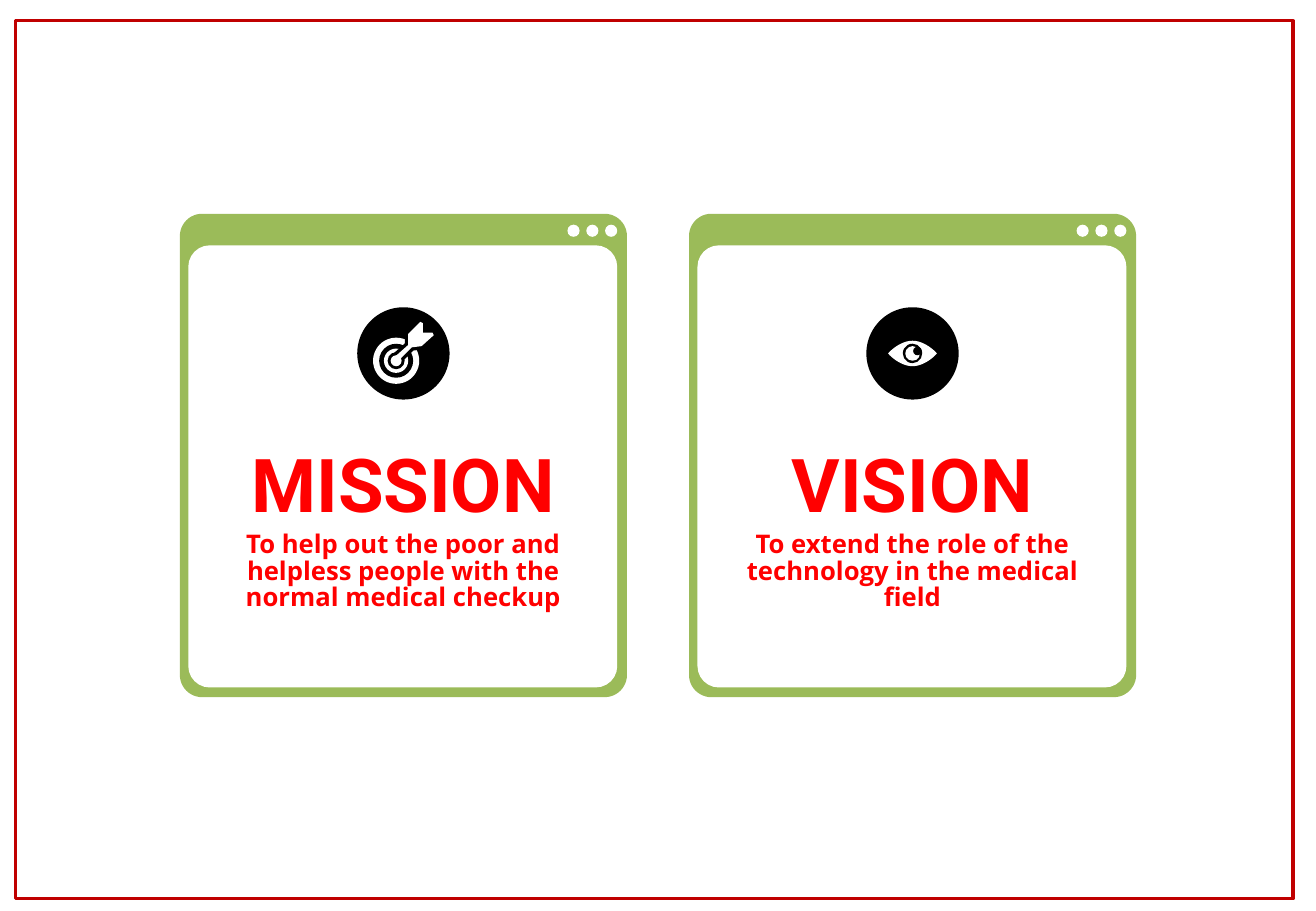
import pptx
import pptx.dml.color
import pptx.enum.shapes
import pptx.enum.text
import pptx.util

Inches = pptx.util.Inches
Pt = pptx.util.Pt
SHAPE = pptx.enum.shapes.MSO_SHAPE

WHITE, BLACK, GREEN, RED, BORDER = "FFFFFF", "000000", "9BBB59", "FF0000", "C00000"
CARD_TOP = 1.76
HEADING = {"name": "Roboto", "size": Pt(44), "bold": True}
STATEMENT = {"name": "Open Sans", "size": Pt(15.2), "bold": True}
CARDS = [
    (1.48, "MISSION", "To help out the poor and helpless people with the normal medical checkup"),
    (5.67, "VISION", "To extend the role of the technology in the medical field"),
]
TARGET_RINGS = [(0.19, WHITE), (0.14, BLACK), (0.1, WHITE), (0.07, BLACK)]
# Offsets from the target's centre
DART = [(-0.03, -0.02), (0.01, -0.05), (0.1, -0.13), (0.1, -0.22), (0.2, -0.32),
        (0.22, -0.31), (0.22, -0.23), (0.3, -0.23), (0.31, -0.21), (0.21, -0.12),
        (0.13, -0.11), (0.04, -0.02), (0.02, 0.02)]


def rgb(hex_colour):
    return pptx.dml.color.RGBColor.from_string(hex_colour)


def paint(shape, fill=None, line=None, weight=1):
    shape.shadow.inherit = False
    if fill:
        shape.fill.solid()
        shape.fill.fore_color.rgb = rgb(fill)
    else:
        shape.fill.background()
    if line:
        shape.line.color.rgb = rgb(line)
        shape.line.width = Pt(weight)
    else:
        shape.line.fill.background()


def add_panel(shapes, kind, left, top, width, height, radius=None, **look):
    panel = shapes.add_shape(kind, Inches(left), Inches(top), Inches(width), Inches(height))
    if radius is not None:
        panel.adjustments[0] = radius
    paint(panel, **look)


def add_disc(shapes, x, y, radius, fill):
    add_panel(shapes, SHAPE.OVAL, x - radius, y - radius, 2 * radius, 2 * radius, fill=fill)


def add_outline(shapes, x, y, offsets, **look):
    """Draw a closed outline from offsets around the point x, y."""
    points = [(Inches(x + dx), Inches(y + dy)) for dx, dy in offsets]
    builder = shapes.build_freeform(*points[0])
    builder.add_line_segments(points[1:], close=True)
    paint(builder.convert_to_shape(), **look)


def add_text(slide, left, top, height, text, font_values, spacing):
    frame = slide.shapes.add_textbox(
        Inches(left), Inches(top), Inches(3.04), Inches(height)).text_frame
    frame.word_wrap = True
    for side in ("left", "top", "right", "bottom"):
        setattr(frame, f"margin_{side}", Inches(0.11))
    paragraph = frame.paragraphs[0]
    paragraph.text = text
    paragraph.alignment = pptx.enum.text.PP_ALIGN.CENTER
    paragraph.line_spacing = spacing
    for attribute, value in font_values.items():
        setattr(paragraph.font, attribute, value)
    paragraph.font.color.rgb = rgb(RED)


def add_window(slide, left):
    window = slide.shapes.add_group_shape().shapes
    add_panel(window, SHAPE.ROUNDED_RECTANGLE, left, CARD_TOP, 3.68, 3.98, 0.05, fill=GREEN)
    add_panel(window, SHAPE.ROUNDED_RECTANGLE, left + 0.07, CARD_TOP + 0.26, 3.53, 3.64, 0.05,
              fill=WHITE)
    for button in range(3):
        add_disc(window, left + 3.24 + 0.155 * button, CARD_TOP + 0.14, 0.05, WHITE)


def add_target(slide, x, y):
    target = slide.shapes.add_group_shape().shapes
    for radius, colour in TARGET_RINGS:
        add_disc(target, x, y, radius, colour)
    add_outline(target, x, y, DART, fill=BLACK, line=BLACK, weight=4)
    add_disc(target, x, y, 0.045, WHITE)
    add_outline(target, x, y, DART, fill=WHITE)


def eye_outline(half_width=0.2, half_height=0.105, steps=12):
    """Sample one quarter of the eye as a cubic curve and mirror it into a full eye."""
    quarter = []
    for step in range(steps + 1):
        t = step / steps
        across = 3 * (1 - t) ** 2 * t * 0.5 + 3 * (1 - t) * t ** 2 * 0.95 + t ** 3
        up = (1 - t) ** 3 + 3 * (1 - t) ** 2 * t + 3 * (1 - t) * t ** 2 * 0.15
        quarter.append((half_width * across, half_height * up))
    right = [(dx, -dy) for dx, dy in quarter] + quarter[-2::-1]
    return right + [(-dx, dy) for dx, dy in right[-2:0:-1]]


def add_eye(slide, x, y):
    eye = slide.shapes.add_group_shape().shapes
    add_outline(eye, x, y, eye_outline(), fill=WHITE)
    add_disc(eye, x, y, 0.08, BLACK)
    add_disc(eye, x, y, 0.06, WHITE)
    add_disc(eye, x + 0.04, y - 0.02, 0.035, BLACK)


def main():
    presentation = pptx.Presentation()
    presentation.slide_width = Inches(10.83)
    presentation.slide_height = Inches(7.5)
    slide = presentation.slides.add_slide(presentation.slide_layouts[6])

    add_panel(slide.shapes, SHAPE.RECTANGLE, 0.13, 0.17, 10.51, 7.23, line=BORDER, weight=2)
    for left, heading, statement in CARDS:
        add_window(slide, left)
        add_disc(slide.shapes, left + 1.84, 2.91, 0.38, BLACK)
        add_text(slide, left + 0.32, 3.5, 0.55, heading, HEADING, 1)
        add_text(slide, left + 0.32, 4.27, 1.04, statement, STATEMENT, 0.87)
    add_target(slide, 3.26, 2.97)
    add_eye(slide, 7.51, 2.91)
    presentation.save("out.pptx")


if __name__ == "__main__":
    main()
